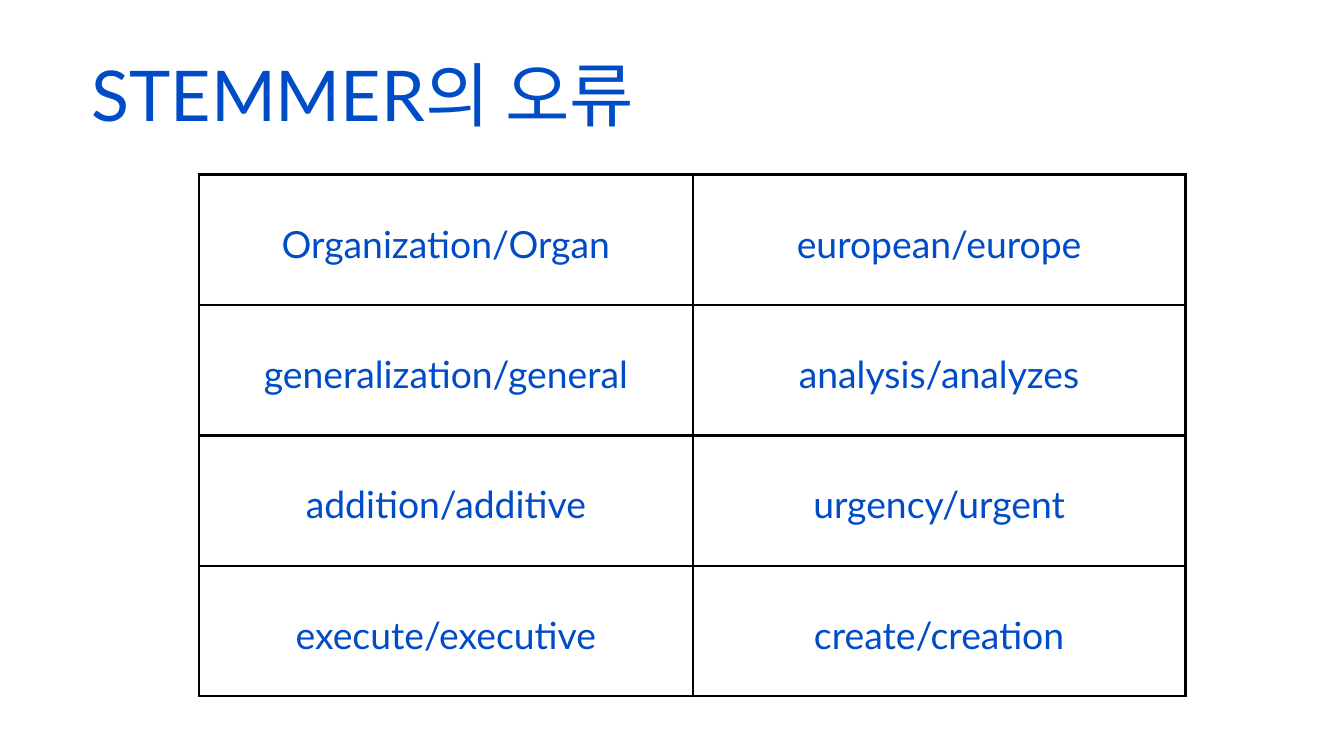
from typing import NamedTuple

from lxml import etree
from pptx import Presentation
from pptx import util as u
from pptx.dml.color import RGBColor
from pptx.enum import text
from pptx.oxml import ns

BLUE = RGBColor(0x00, 0x4C, 0xC7)
BLACK = RGBColor(0x00, 0x00, 0x00)
FONT = "Lato"
BORDER_WIDTH = u.Pt(3)
COLUMN_WIDTHS = (7.35, 7.33)
ROW_HEIGHT = 1.94


class StemmingErrors(NamedTuple):
    left: str
    right: str


ERROR_ROWS = [
    StemmingErrors("Organization/Organ", "european/europe"),
    StemmingErrors("generalization/general", "analysis/analyzes"),
    StemmingErrors("addition/additive", "urgency/urgent"),
    StemmingErrors("execute/executive", "create/creation"),
]


def set_all(target, values: dict) -> None:
    for name, value in values.items():
        setattr(target, name, value)


def format_paragraph(paragraph, size: float, spacing: float, alignment) -> None:
    set_all(paragraph, {"alignment": alignment, "line_spacing": u.Pt(spacing)})
    set_all(paragraph.font, {"name": FONT, "size": u.Pt(size)})
    paragraph.font.color.rgb = BLUE


def add_borders(cell) -> None:
    properties = cell._tc.get_or_add_tcPr()
    for side in ("a:lnL", "a:lnR", "a:lnT", "a:lnB"):
        line = etree.SubElement(properties, ns.qn(side), w=str(BORDER_WIDTH))
        fill = etree.SubElement(line, ns.qn("a:solidFill"))
        etree.SubElement(fill, ns.qn("a:srgbClr"), val=str(BLACK))


def fill_cell(cell, words: str) -> None:
    margins = ("margin_left", "margin_right", "margin_top", "margin_bottom")
    set_all(cell, dict.fromkeys(margins, u.Inches(0.21)))
    set_all(cell, {"text": words, "vertical_anchor": text.MSO_ANCHOR.MIDDLE})
    format_paragraph(cell.text_frame.paragraphs[0], 40, 56, text.PP_ALIGN.CENTER)
    add_borders(cell)
    cell.fill.background()


def add_error_table(slide) -> None:
    table = slide.shapes.add_table(
        len(ERROR_ROWS), len(COLUMN_WIDTHS), u.Inches(2.96), u.Inches(2.6),
        u.Inches(sum(COLUMN_WIDTHS)), u.Inches(ROW_HEIGHT * len(ERROR_ROWS)),
    ).table
    set_all(table, {"first_row": False, "horz_banding": False})
    for column, width in zip(table.columns, COLUMN_WIDTHS):
        column.width = u.Inches(width)
    for r, errors in enumerate(ERROR_ROWS):
        table.rows[r].height = u.Inches(ROW_HEIGHT)
        for c, words in enumerate(errors):
            fill_cell(table.cell(r, c), words)


def set_title(slide) -> None:
    title = slide.shapes.title
    set_all(title, {
        "left": u.Inches(1.36), "top": u.Inches(0.98),
        "width": u.Inches(17.91), "height": u.Inches(1.09),
    })
    frame = title.text_frame
    set_all(frame, {
        "text": "STEMMER의 오류", "word_wrap": True,
        "auto_size": text.MSO_AUTO_SIZE.SHAPE_TO_FIT_TEXT,
        "vertical_anchor": text.MSO_ANCHOR.TOP,
        "margin_left": 0, "margin_right": 0, "margin_top": 0, "margin_bottom": 0,
    })
    format_paragraph(frame.paragraphs[0], 75, 75, text.PP_ALIGN.LEFT)


def main() -> None:
    deck = Presentation()
    set_all(deck, {"slide_width": u.Inches(20), "slide_height": u.Inches(11.25)})
    slide = deck.slides.add_slide(deck.slide_layouts[5])  # title only

    # Heading
    set_title(slide)

    # Word pairs that the stemmer gets wrong
    add_error_table(slide)

    deck.save("out.pptx")


if __name__ == "__main__":
    main()
